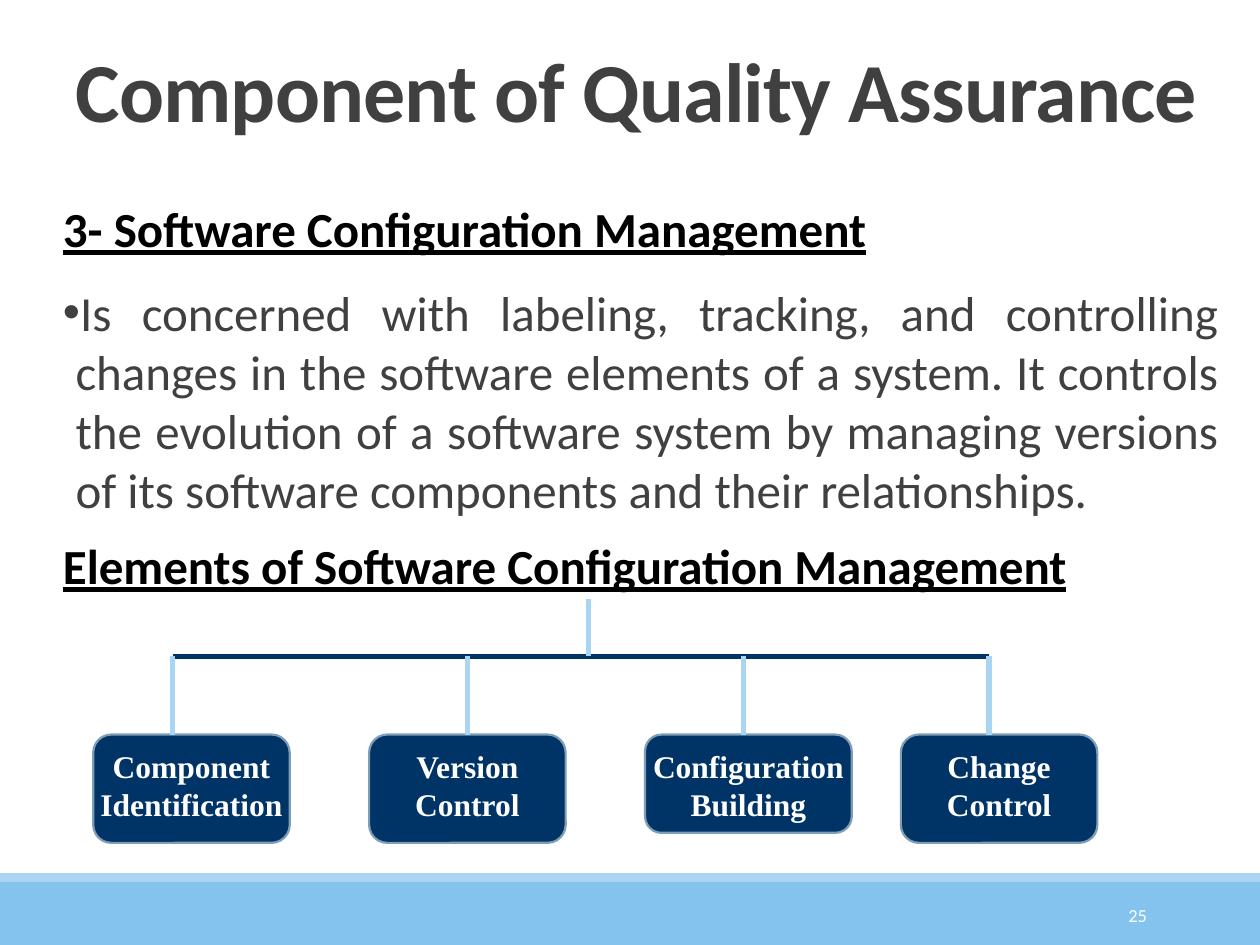
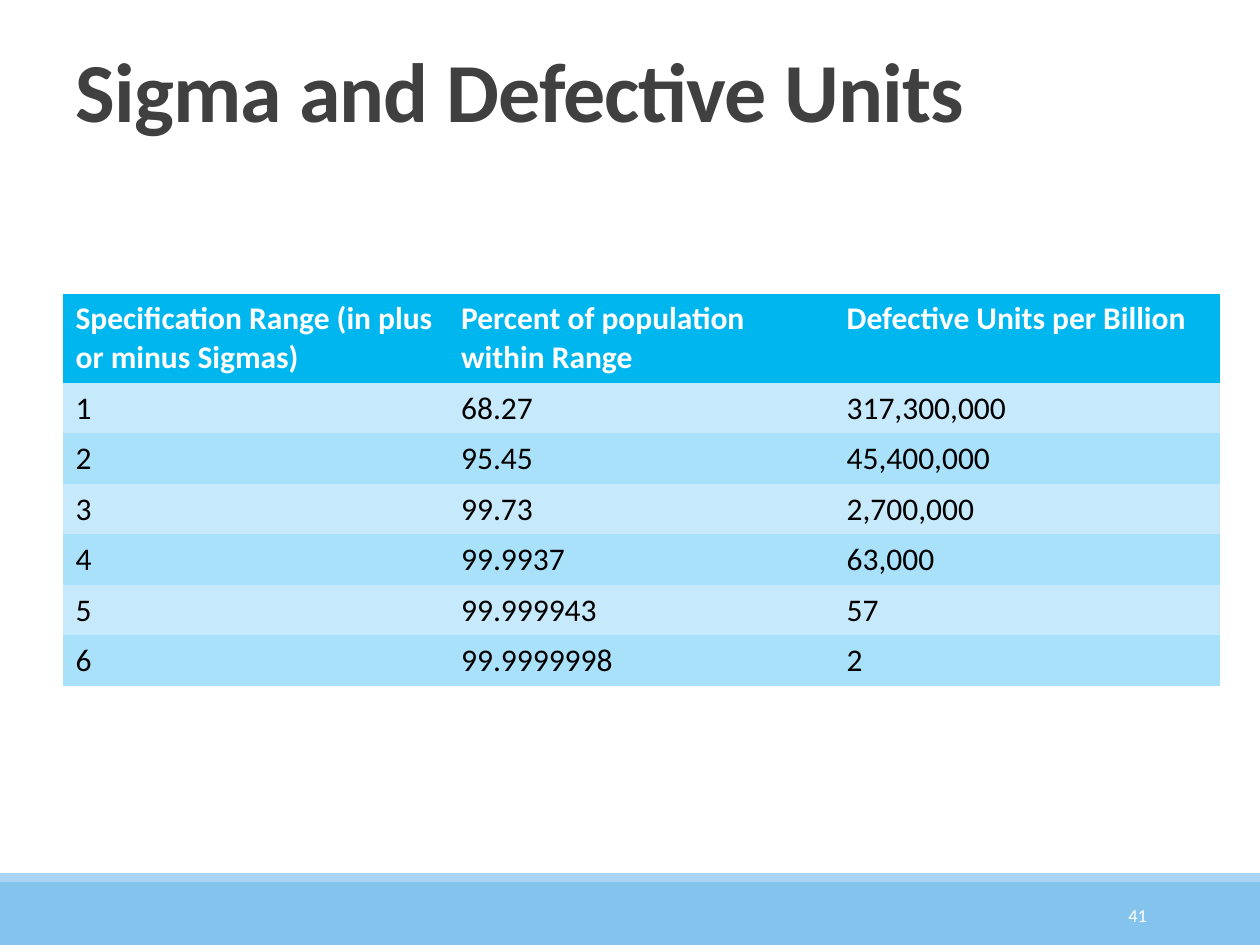
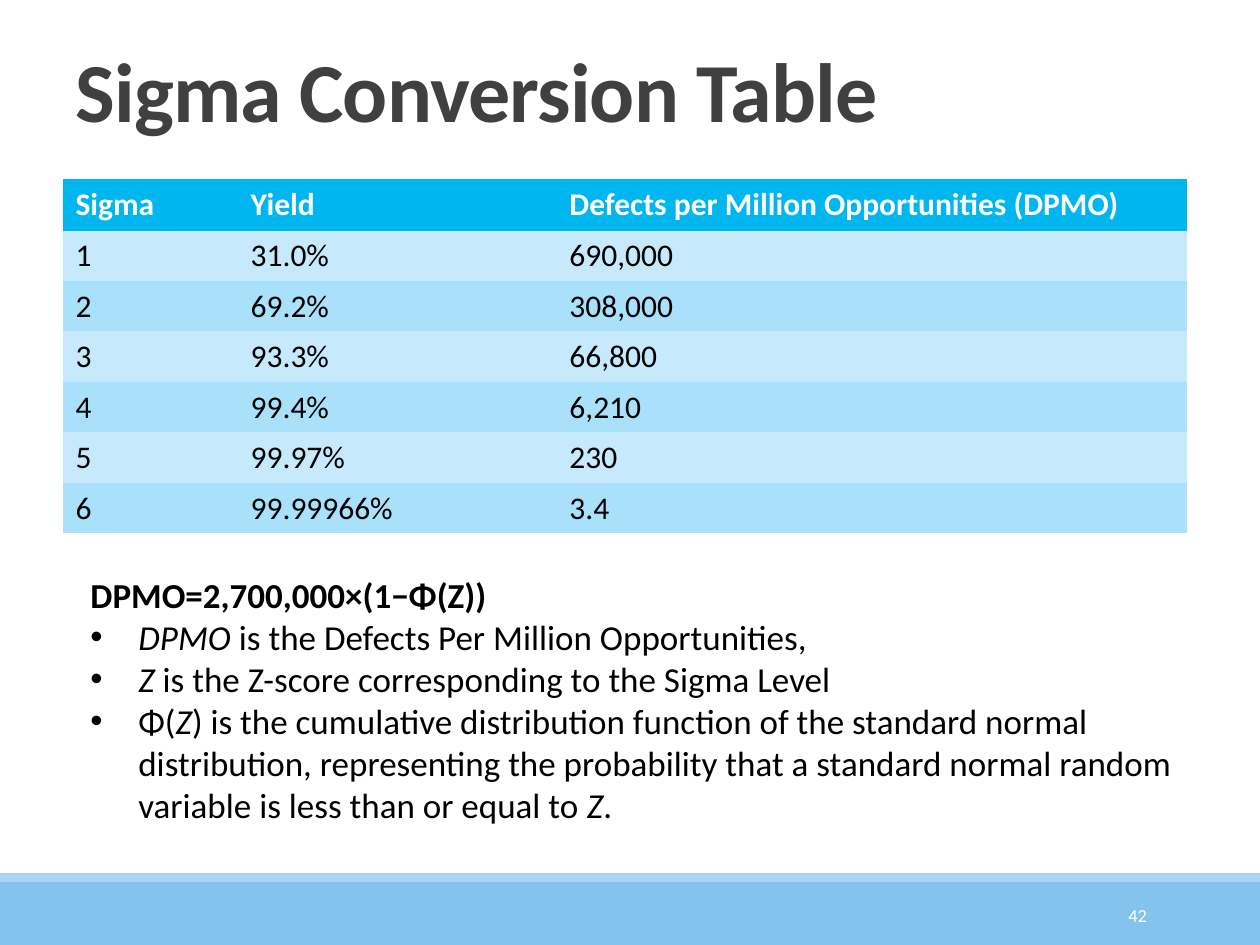
from lxml import etree
from pptx import Presentation
from pptx.dml.color import RGBColor
from pptx.enum.shapes import MSO_CONNECTOR, MSO_SHAPE
from pptx.enum.text import MSO_ANCHOR, MSO_AUTO_SIZE, PP_ALIGN
from pptx.oxml.ns import qn
from pptx.util import Inches, Pt

WHITE = RGBColor(0xFF, 0xFF, 0xFF)
BLACK = RGBColor(0x00, 0x00, 0x00)
GRAY = RGBColor(0x40, 0x40, 0x40)
BAND = RGBColor(0x84, 0xC3, 0xED)
PALE = RGBColor(0xA9, 0xD5, 0xF3)
NAVY = RGBColor(0x00, 0x33, 0x66)
EDGE = RGBColor(0x7D, 0x9E, 0xB4)
HEADER = RGBColor(0x00, 0xB6, 0xEF)
ROW_FILLS = [RGBColor(0xC6, 0xE9, 0xFC), RGBColor(0xA9, 0xE1, 0xFA)]
FONT = "Calibri"
NO_GRID_STYLE = "{2D5ABB26-0587-4C30-8999-92F81FD0307C}"


def style(font, size, color, bold=False, name=FONT):
    font.name, font.size, font.bold = name, Pt(size), bold
    font.color.rgb = color


def bullet(p, indent):
    pPr = p._p.get_or_add_pPr()
    pPr.set("marL", str(Inches(indent)))
    pPr.set("indent", str(-Inches(indent)))
    etree.SubElement(pPr, qn("a:buFont")).set("typeface", "Arial")
    etree.SubElement(pPr, qn("a:buChar")).set("char", "•")


prs = Presentation()
prs.slide_width, prs.slide_height = Inches(10), Inches(7.5)

# Shared parts: footer bands, page number and title
slides = []
for title, number in [("Component of Quality Assurance", 25),
                      ("Sigma and Defective Units", 41),
                      ("Sigma Conversion Table", 42)]:
    s = prs.slides.add_slide(prs.slide_layouts[5])
    slides.append(s)
    for top, height, color in [(7, 0.5, BAND), (6.93, 0.07, PALE)]:
        sp = s.shapes.add_shape(MSO_SHAPE.RECTANGLE, 0, Inches(top),
                                Inches(10), Inches(height))
        sp.shadow.inherit = False
        sp.fill.solid()
        sp.fill.fore_color.rgb = color
        sp.line.fill.background()

    tf = s.shapes.add_textbox(Inches(8.12), Inches(7.06),
                              Inches(1.08), Inches(0.4)).text_frame
    tf.word_wrap = True
    tf.vertical_anchor = MSO_ANCHOR.MIDDLE
    p = tf.paragraphs[0]
    p.text = str(number)
    p.alignment = PP_ALIGN.RIGHT
    style(p.runs[0].font, 10.5, WHITE)

    sp = s.shapes.title
    sp.left, sp.top = Inches(0.5), Inches(0.31)
    sp.width, sp.height = Inches(9.17), Inches(0.85)
    tf = sp.text_frame
    tf.text = title
    tf.auto_size = MSO_AUTO_SIZE.NONE
    tf.vertical_anchor = MSO_ANCHOR.BOTTOM
    p = tf.paragraphs[0]
    p.alignment = PP_ALIGN.LEFT
    p.line_spacing = 0.85
    r = p.runs[0]
    style(r.font, 48, GRAY, True)
    r._r.get_or_add_rPr().set("spc", "-50")

# Slide 1: body text
s = slides[0]
tf = s.shapes.add_textbox(Inches(0.5), Inches(1.58),
                          Inches(9.17), Inches(3.17)).text_frame
tf.word_wrap = True
tf.margin_left = tf.margin_right = 0
for i, (text, heading) in enumerate([
        ("3- Software Configuration Management", True),
        ("Is concerned with labeling, tracking, and controlling changes in "
         "the software elements of a system. It controls the evolution of a "
         "software system by managing versions of its software components "
         "and their relationships.", False),
        ("Elements of Software Configuration Management", True)]):
    p = tf.add_paragraph() if i else tf.paragraphs[0]
    p.text = text
    p.alignment = PP_ALIGN.JUSTIFY
    p.space_before = Pt(12 if i else 0)
    p.space_after = Pt(2)
    p.line_spacing = 0.9 if heading else 1.0
    if not heading:
        bullet(p, 0.1)
    r = p.runs[0]
    style(r.font, 28, BLACK if heading else GRAY, heading)
    r.font.underline = heading

# Slide 1: tree of elements
BAR_Y, BOX_Y = 5.21, 5.83
for label, left, width, height in [
        ("Component Identification", 0.74, 1.56, 0.86),
        ("Version Control", 2.93, 1.56, 0.86),
        ("Configuration Building", 5.12, 1.64, 0.78),
        ("Change Control", 7.15, 1.56, 0.86)]:
    sp = s.shapes.add_shape(MSO_SHAPE.ROUNDED_RECTANGLE, Inches(left),
                            Inches(BOX_Y), Inches(width), Inches(height))
    sp.shadow.inherit = False
    sp.fill.solid()
    sp.fill.fore_color.rgb = NAVY
    sp.line.color.rgb = EDGE
    sp.line.width = Pt(1.25)
    tf = sp.text_frame
    tf.word_wrap = True
    tf.vertical_anchor = MSO_ANCHOR.TOP
    tf.margin_left = tf.margin_right = tf.margin_bottom = 0
    tf.margin_top = Inches(0.06)
    p = tf.paragraphs[0]
    p.text = label
    p.alignment = PP_ALIGN.CENTER
    style(p.runs[0].font, 18, WHITE, True, "Times New Roman")

branches = [(x, BAR_Y, x, BOX_Y, PALE) for x in (1.37, 3.71, 5.9, 7.85)]
for x1, y1, x2, y2, color in [(1.37, BAR_Y, 7.85, BAR_Y, NAVY), *branches,
                              (4.67, 4.75, 4.67, BAR_Y, PALE)]:
    line = s.shapes.add_connector(MSO_CONNECTOR.STRAIGHT, Inches(x1),
                                  Inches(y1), Inches(x2), Inches(y2))
    line.line.color.rgb = color
    line.line.width = Pt(3)
    etree.SubElement(line._element.spPr, qn("a:effectLst"))

# Slides 2 and 3: tables
sigma_rows = [
    ("Specification Range (in plus or minus Sigmas)",
     "Percent of population within Range", "Defective Units per Billion"),
    ("1", "68.27", "317,300,000"),
    ("2", "95.45", "45,400,000"),
    ("3", "99.73", "2,700,000"),
    ("4", "99.9937", "63,000"),
    ("5", "99.999943", "57"),
    ("6", "99.9999998", "2"),
]
yield_rows = [
    ("Sigma", "Yield", "Defects per Million Opportunities (DPMO)"),
    ("1", "31.0%", "690,000"),
    ("2", "69.2%", "308,000"),
    ("3", "93.3%", "66,800"),
    ("4", "99.4%", "6,210"),
    ("5", "99.97%", "230"),
    ("6", "99.99966%", "3.4"),
]
ROW_H = 0.4
for s, rows, top, widths, header_h in [
        (slides[1], sigma_rows, 2.33, (3.06, 3.06, 3.06), 0.71),
        (slides[2], yield_rows, 1.42, (1.39, 2.53, 5), 0.41)]:
    frame = s.shapes.add_table(len(rows), len(widths), Inches(0.5),
                               Inches(top), Inches(sum(widths)),
                               Inches(header_h + ROW_H * (len(rows) - 1)))
    next(frame._element.iter(qn("a:tableStyleId"))).text = NO_GRID_STYLE
    table = frame.table
    for column, width in zip(table.columns, widths):
        column.width = Inches(width)
    for i, row in enumerate(rows):
        table.rows[i].height = Inches(ROW_H if i else header_h)
        for j, text in enumerate(row):
            cell = table.cell(i, j)
            cell.fill.solid()
            cell.fill.fore_color.rgb = ROW_FILLS[(i - 1) % 2] if i else HEADER
            p = cell.text_frame.paragraphs[0]
            p.text = text
            style(p.runs[0].font, 18, BLACK if i else WHITE, i == 0)

# Slide 3: formula and its terms, as (text, italic) runs
tf = slides[2].shapes.add_textbox(Inches(0.62), Inches(4.5),
                                  Inches(8.93), Inches(2.13)).text_frame
tf.word_wrap = True
p = tf.paragraphs[0]
p.text = "DPMO=2,700,000×(1−Φ(Z))"
style(p.runs[0].font, 20, BLACK, True)
for term in [
        [("DPMO ", True), ("is the Defects Per Million Opportunities,", False)],
        [("Z ", True),
         ("is the Z-score corresponding to the Sigma Level", False)],
        [("Φ(", False), ("Z", True),
         (") is the cumulative distribution function of the standard normal "
          "distribution, representing the probability that a standard normal "
          "random variable is less than or equal to ", False),
         ("Z", True), (".", False)]]:
    p = tf.add_paragraph()
    bullet(p, 0.38)
    for text, italic in term:
        r = p.add_run()
        r.text = text
        style(r.font, 20, BLACK)
        r.font.italic = italic

prs.save("out.pptx")
